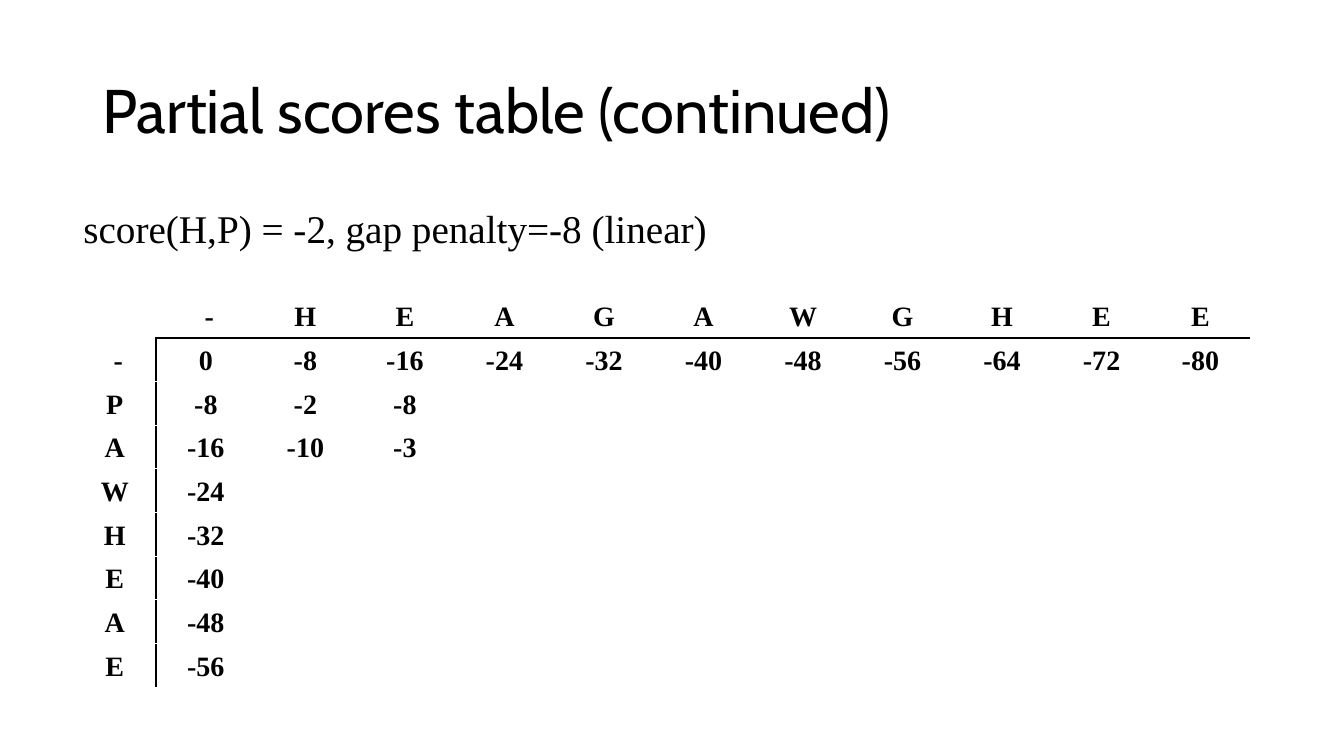
from lxml.etree import SubElement
from pptx import Presentation
from pptx.dml.color import RGBColor
from pptx.enum.text import MSO_ANCHOR, MSO_AUTO_SIZE, PP_ALIGN
from pptx.oxml.ns import qn
from pptx.util import Pt

COLORS = {"ink": "000000"}
SERIF = "Times New Roman"
TITLE_ONLY = 5

SEQUENCE_ACROSS = [" -", *"HEAGAWGHEE"]
SEQUENCE_DOWN = [" -", *"PAWHEAE"]
GAP_PENALTY = -8
INNER_SCORES = {(1, 1): -2, (1, 2): -8, (2, 1): -10, (2, 2): -3}


def write_text(frame, text, font, size, bold=False, align=PP_ALIGN.LEFT, spacing=None):
    paragraph = frame.paragraphs[0]
    paragraph.alignment = align
    paragraph.line_spacing = spacing
    run = paragraph.add_run()
    run.text = text
    run.font.name = font
    run.font.size = Pt(size)
    run.font.bold = bold
    run.font.color.rgb = RGBColor.from_string(COLORS["ink"])


def add_border(cell, side):
    line = SubElement(cell._tc.get_or_add_tcPr(), qn(f"a:ln{side}"), w=str(Pt(1)))
    fill = SubElement(line, qn("a:solidFill"))
    SubElement(fill, qn("a:srgbClr"), val=COLORS["ink"])


def score_text(i, j):
    """Text of a cell, where i and j count from the gap row and column."""
    if i < 0 and j < 0:
        return ""
    if i < 0:
        return SEQUENCE_ACROSS[j]
    if j < 0:
        return SEQUENCE_DOWN[i]
    if i == 0 or j == 0:
        return str(GAP_PENALTY * (i + j))
    return str(INNER_SCORES.get((i, j), ""))


def place_title(slide, left, top, width, height):
    title = slide.shapes.title
    title.left, title.top, title.width, title.height = map(Pt, (left, top, width, height))
    frame = title.text_frame
    frame.auto_size = MSO_AUTO_SIZE.NONE
    frame.vertical_anchor = MSO_ANCHOR.MIDDLE
    write_text(frame, "Partial scores table (continued)", font="Cabin", size=44, spacing=0.9)


def add_scoring_rule(slide, left, top, width, height):
    rule = slide.shapes.add_textbox(Pt(left), Pt(top), Pt(width), Pt(height))
    rule.text_frame.word_wrap = False
    rule.text_frame.auto_size = MSO_AUTO_SIZE.SHAPE_TO_FIT_TEXT
    write_text(rule.text_frame, "score(H,P) = -2, gap penalty=-8 (linear)", font=SERIF, size=28)


def add_score_table(slide, left, top, width, height):
    row_count, column_count = len(SEQUENCE_DOWN) + 1, len(SEQUENCE_ACROSS) + 1
    scores = slide.shapes.add_table(
        row_count, column_count, Pt(left), Pt(top), Pt(width), Pt(height)
    ).table
    scores.first_row = scores.horz_banding = False

    # Narrow letter column, then equal score columns
    letter_width, score_width = 59, 71.1
    for column in scores.columns:
        column.width = Pt(score_width)
    scores.columns[0].width = Pt(letter_width)
    scores.columns[column_count - 1].width = Pt(
        width - letter_width - score_width * (column_count - 2)
    )

    for i in range(-1, row_count - 1):
        for j in range(-1, column_count - 1):
            cell = scores.cell(i + 1, j + 1)
            cell.vertical_anchor = MSO_ANCHOR.BOTTOM
            # Rules between the sequence letters and the scores
            borders = {
                "L": i >= 0 and j == 0,
                "R": i >= 0 and j == -1,
                "T": i == 0 and j >= 0,
                "B": i == -1 and j >= 0,
            }
            for side, shown in borders.items():
                if shown:
                    add_border(cell, side)
            cell.fill.background()
            text = score_text(i, j)
            if text:
                write_text(cell.text_frame, text, font=SERIF, size=20, bold=True,
                           align=PP_ALIGN.CENTER)


def main():
    deck = Presentation()
    deck.slide_width, deck.slide_height = Pt(960), Pt(540)
    slide = deck.slides.add_slide(deck.slide_layouts[TITLE_ONLY])
    place_title(slide, 66, 28.8, 828, 104.4)
    add_score_table(slide, 52.5, 210.2, 840, 280.8)
    add_scoring_rule(slide, 52.5, 142.5, 465, 41)
    deck.save("out.pptx")


if __name__ == "__main__":
    main()
